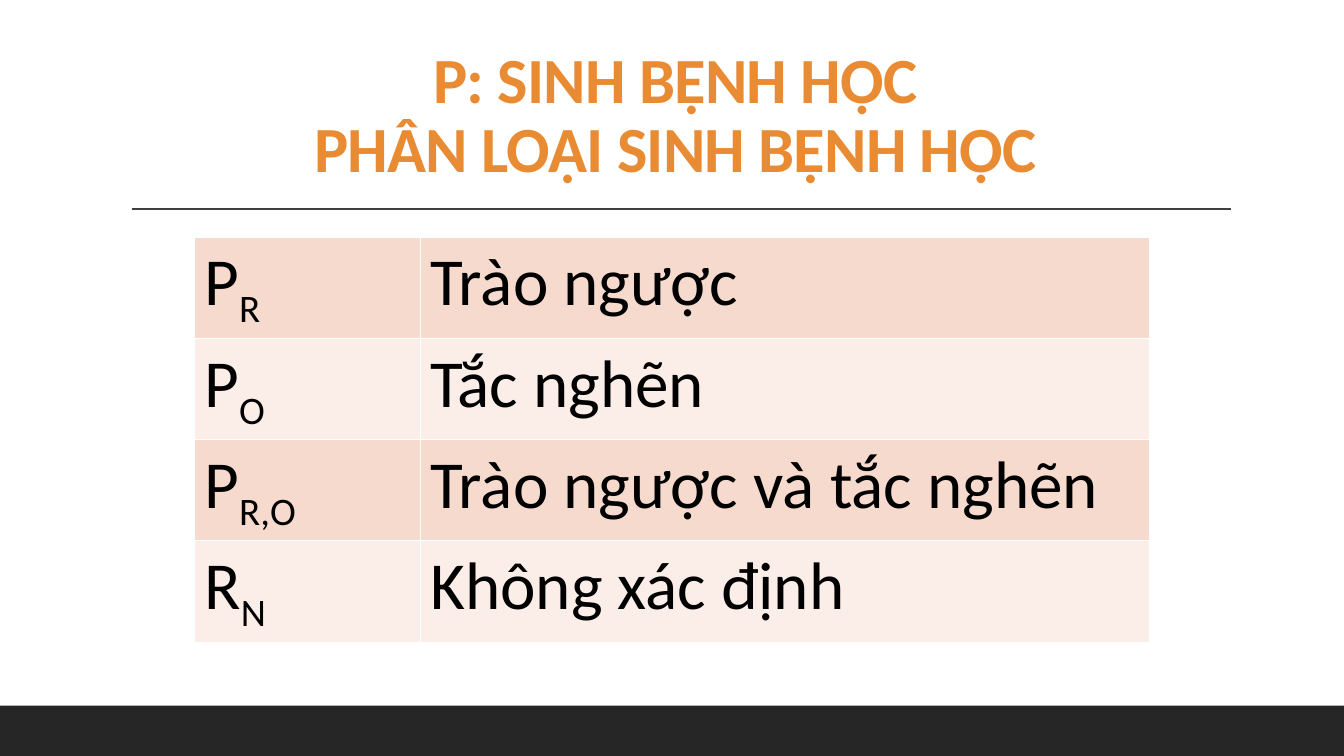
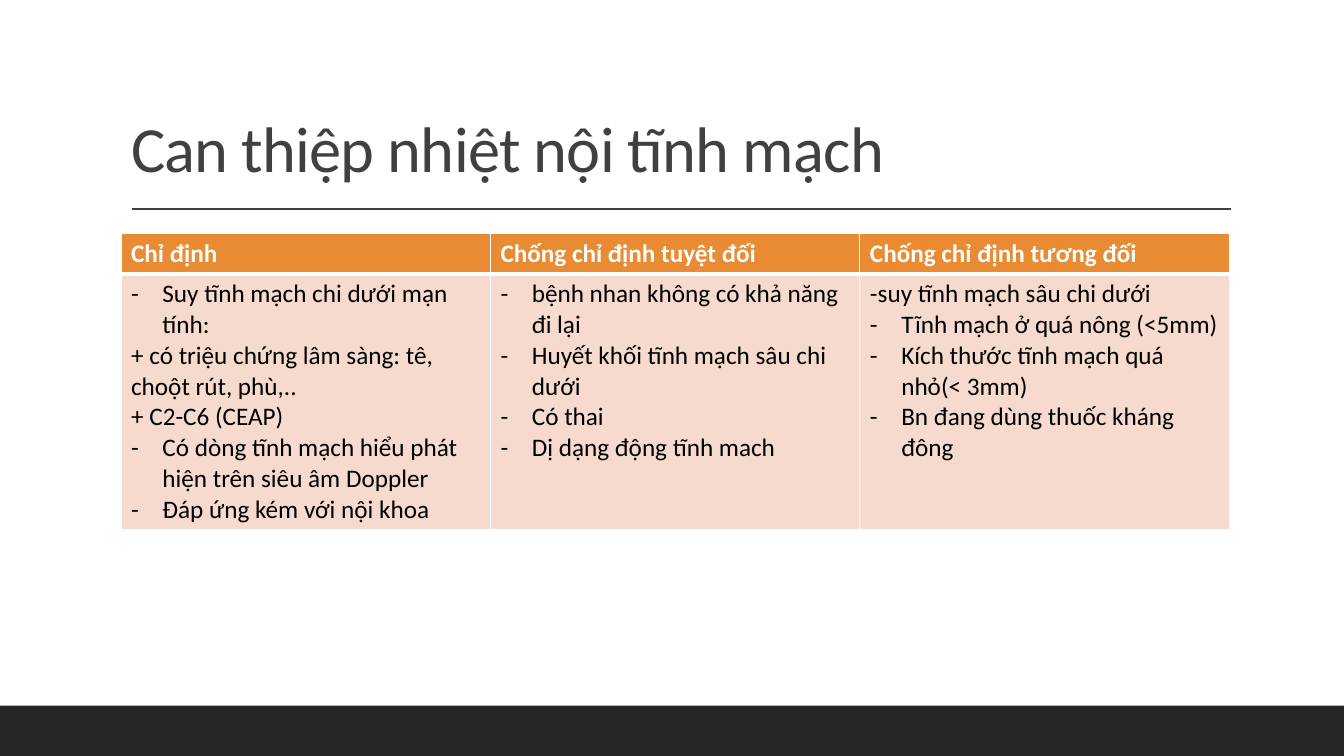
from lxml.etree import SubElement
from pptx import Presentation
from pptx.dml.color import RGBColor
from pptx.enum.shapes import MSO_CONNECTOR, MSO_SHAPE
from pptx.enum.text import MSO_ANCHOR, MSO_AUTO_SIZE, PP_ALIGN
from pptx.oxml.ns import qn
from pptx.util import Cm, Pt

# Shared look
FONT = "Calibri"
ORANGE = RGBColor(0xE8, 0x8B, 0x33)
GREY = RGBColor(0x40, 0x40, 0x40)
DARK = RGBColor(0x26, 0x26, 0x26)
BLACK = RGBColor(0, 0, 0)
WHITE = RGBColor(0xFF, 0xFF, 0xFF)
PEACH = RGBColor(0xF6, 0xDA, 0xCE)
PALE = RGBColor(0xFB, 0xEE, 0xE8)
SLIDE_W, SLIDE_H = Cm(33.87), Cm(19.05)
BAND_H = Cm(1.27)
HANGING = Cm(0.79)

# Content: a leading "- " marks a bullet
CLASSES = [
    ("P", "R", "Trào ngược"),
    ("P", "O", "Tắc nghẽn"),
    ("P", "R,O", "Trào ngược và tắc nghẽn"),
    ("R", "N", "Không xác định"),
]
CRITERIA = {
    "Chỉ định": [
        "- Suy tĩnh mạch chi dưới mạn tính:",
        "+ có triệu chứng lâm sàng: tê, choột rút, phù,..",
        "+ C2-C6 (CEAP)",
        "- Có dòng tĩnh mạch hiểu phát hiện trên siêu âm Doppler",
        "- Đáp ứng kém với nội khoa",
    ],
    "Chống chỉ định tuyệt đối": [
        "- bệnh nhan không có khả năng đi lại",
        "- Huyết khối tĩnh mạch sâu chi dưới",
        "- Có thai",
        "- Dị dạng động tĩnh mach",
    ],
    "Chống chỉ định tương đối": [
        "-suy tĩnh mạch sâu chi dưới",
        "- Tĩnh mạch ở quá nông (<5mm)",
        "- Kích thước tĩnh mạch quá nhỏ(< 3mm)",
        "- Bn đang dùng thuốc kháng đông",
    ],
}


def format_runs(paragraph, size, color, bold=False):
    for run in paragraph.runs:
        font = run.font
        font.name, font.size, font.bold = FONT, Pt(size), bold
        font.color.rgb = color


def add_frame(slide):
    """Bottom band and the rule under the title."""
    band = slide.shapes.add_shape(
        MSO_SHAPE.RECTANGLE, 0, SLIDE_H - BAND_H, SLIDE_W, BAND_H)
    band.shadow.inherit = False
    band.fill.solid()
    band.fill.fore_color.rgb = DARK
    band.line.fill.background()

    rule = slide.shapes.add_connector(
        MSO_CONNECTOR.STRAIGHT, Cm(3.32), Cm(5.27), Cm(31.01), Cm(5.27))
    rule.line.color.rgb = GREY
    rule.line.width = Pt(1)
    SubElement(rule._element.spPr, qn("a:effectLst"))


def add_titled_slide(prs, text, color=GREY, bold=False, align=PP_ALIGN.LEFT):
    slide = prs.slides.add_slide(prs.slide_layouts[5])
    add_frame(slide)
    title = slide.shapes.title
    title.left, title.top, title.width, title.height = (
        Cm(3.05), Cm(0.79), Cm(27.94), Cm(4.04))
    frame = title.text_frame
    frame.text = text
    frame.word_wrap = True
    frame.auto_size = MSO_AUTO_SIZE.NONE
    frame.vertical_anchor = MSO_ANCHOR.BOTTOM
    heading = frame.paragraphs[0]
    heading.alignment = align
    heading.line_spacing = 0.9
    format_runs(heading, 46, color, bold)
    for run in heading.runs:
        run._r.get_or_add_rPr().set("spc", "-50")
    return slide


def add_grid(slide, left, top, col_widths, row_heights):
    table = slide.shapes.add_table(
        len(row_heights), len(col_widths), left, top,
        sum(col_widths), sum(row_heights)).table
    table.first_row = table.horz_banding = False
    for column, width in zip(table.columns, col_widths):
        column.width = width
    for row, height in zip(table.rows, row_heights):
        row.height = height
    return table


def style_cell(cell, fill, top=1, bottom=1):
    """White borders (widths in points), then the fill."""
    props = cell._tc.get_or_add_tcPr()
    for side, width in (("L", 1), ("R", 1), ("T", top), ("B", bottom)):
        border = SubElement(props, qn(f"a:ln{side}"), w=str(Pt(width)))
        solid = SubElement(border, qn("a:solidFill"))
        SubElement(solid, qn("a:srgbClr"), val=str(WHITE))
    cell.fill.solid()
    cell.fill.fore_color.rgb = fill


def add_bullet(paragraph):
    props = paragraph._p.get_or_add_pPr()
    props.set("marL", str(HANGING))
    props.set("indent", str(-HANGING))
    SubElement(props, qn("a:buFont"), typeface=FONT)
    SubElement(props, qn("a:buChar"), char="-")


def fill_items(cell, items):
    frame = cell.text_frame
    frame.text = "\n".join(item.removeprefix("- ") for item in items)
    for paragraph, item in zip(frame.paragraphs, items):
        if item.startswith("- "):
            add_bullet(paragraph)
        format_runs(paragraph, 18, BLACK)


def add_class_table(slide):
    table = add_grid(slide, Cm(4.9), Cm(5.97), [Cm(5.69), Cm(18.39)],
                     [Cm(2.55)] * len(CLASSES))
    for row, (letter, index, meaning) in enumerate(CLASSES):
        symbol_cell, meaning_cell = table.cell(row, 0), table.cell(row, 1)
        symbol_cell.text_frame.text = letter
        symbol = symbol_cell.text_frame.paragraphs[0]
        subscript = symbol.add_run()
        subscript.text = index
        subscript._r.get_or_add_rPr().set("baseline", "-25000")
        meaning_cell.text_frame.text = meaning
        for cell in (symbol_cell, meaning_cell):
            style_cell(cell, PALE if row % 2 else PEACH)
            format_runs(cell.text_frame.paragraphs[0], 48, BLACK)


def add_criteria_table(slide):
    table = add_grid(slide, Cm(3.05), Cm(5.87), [Cm(9.31)] * len(CRITERIA),
                     [Cm(1.03), Cm(6.35)])
    for col, (heading, items) in enumerate(CRITERIA.items()):
        head, body = table.cell(0, col), table.cell(1, col)
        head.text_frame.text = heading
        format_runs(head.text_frame.paragraphs[0], 18, WHITE, bold=True)
        style_cell(head, ORANGE, bottom=3)
        fill_items(body, items)
        style_cell(body, PEACH, top=3)


def main():
    prs = Presentation()
    prs.slide_width, prs.slide_height = SLIDE_W, SLIDE_H

    # Pathophysiological classes
    add_class_table(add_titled_slide(
        prs, "P: SINH BỆNH HỌC\vPHÂN LOẠI SINH BỆNH HỌC",
        ORANGE, bold=True, align=PP_ALIGN.CENTER))

    # Indications and contraindications
    add_criteria_table(add_titled_slide(prs, "Can thiệp nhiệt nội tĩnh mạch"))

    prs.save("out.pptx")


if __name__ == "__main__":
    main()
